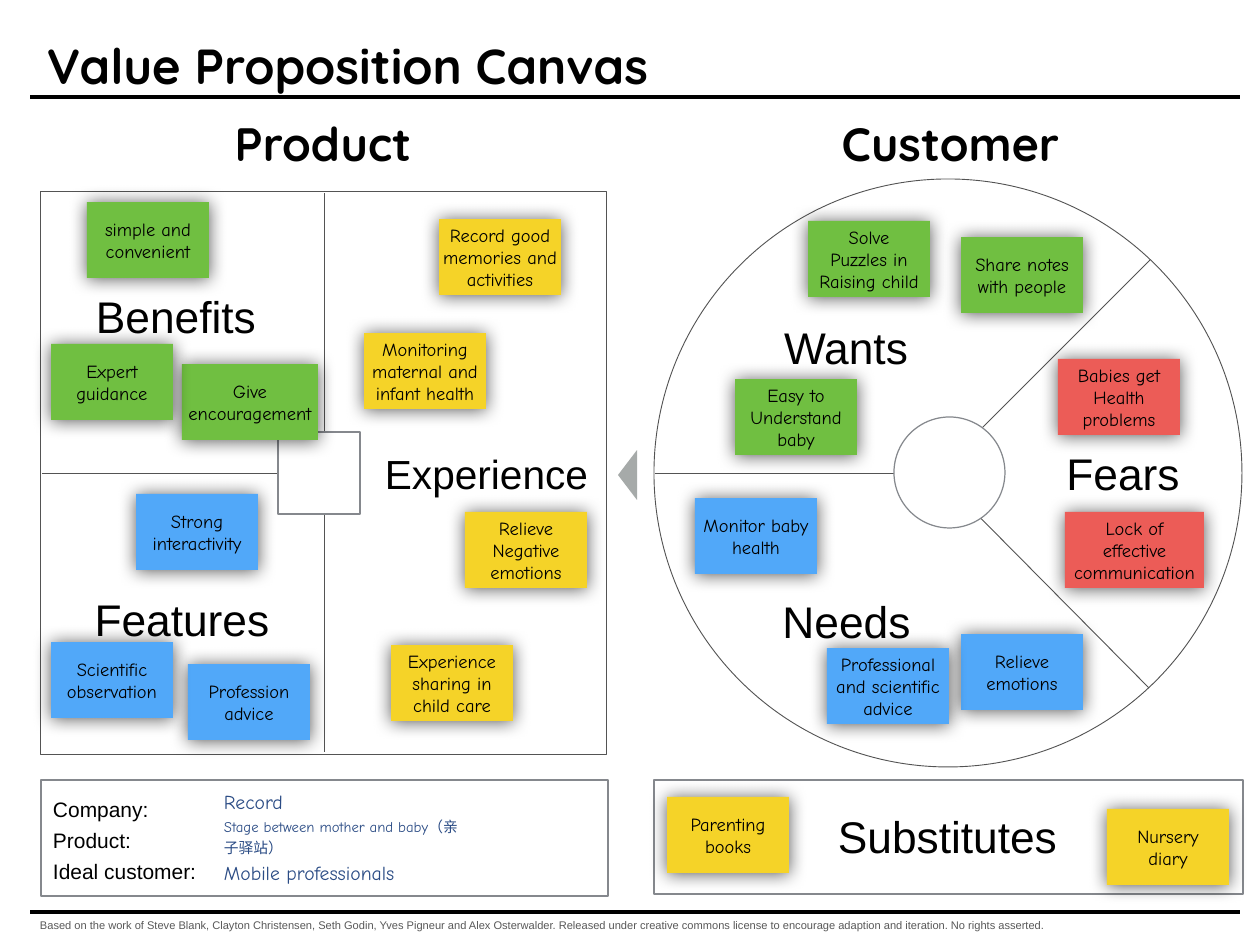
from lxml import etree
from pptx import Presentation
from pptx.dml.color import RGBColor
from pptx.enum.shapes import MSO_CONNECTOR, MSO_SHAPE as SHAPE
from pptx.enum.text import MSO_ANCHOR, MSO_AUTO_SIZE as FIT, PP_ALIGN as ALIGN
from pptx.oxml.ns import qn
from pptx.util import Emu, Pt

SCALE = 10320  # EMU per pixel
BLACK = RGBColor(0x00, 0x00, 0x00)
WHITE = RGBColor(0xFF, 0xFF, 0xFF)
DARK = RGBColor(0x53, 0x53, 0x53)
GREY = RGBColor(0x85, 0x88, 0x8D)
ARROW = RGBColor(0xA6, 0xAA, 0xA9)
CREDIT = RGBColor(0x59, 0x59, 0x59)
NAVY = RGBColor(0x2B, 0x4C, 0x85)
YELLOW = RGBColor(0xF5, 0xD3, 0x28)
GREEN = RGBColor(0x70, 0xBF, 0x41)
BLUE = RGBColor(0x51, 0xA8, 0xF9)
RED = RGBColor(0xEC, 0x5C, 0x57)


def px(*lengths):
    return [Emu(length * SCALE) for length in lengths]


def write(frame, text, font, align=ALIGN.CENTER, spacing=1.0, inset=5, wrap=True, fit=FIT.NONE):
    """Fill a text frame, one paragraph per line of text."""
    margin = px(inset)[0]
    frame_format = {"text": text, "word_wrap": wrap, "auto_size": fit,
                    "vertical_anchor": MSO_ANCHOR.MIDDLE,
                    "margin_left": margin, "margin_right": margin,
                    "margin_top": margin, "margin_bottom": margin}
    for key, value in frame_format.items():
        setattr(frame, key, value)
    name, size, color, bold = font
    for paragraph in frame.paragraphs:
        paragraph.alignment, paragraph.line_spacing = align, spacing
        for run in paragraph.runs:
            for key, value in {"name": name, "size": Pt(size), "bold": bold}.items():
                setattr(run.font, key, value)
            run.font.color.rgb = color


deck = Presentation()
deck.slide_width, deck.slide_height = px(1260, 945)
slide = deck.slides.add_slide(deck.slide_layouts[5])
shapes = slide.shapes

# Title
title = shapes.title
title.left, title.top, title.width, title.height = px(42, 43, 1126, 43)
write(title.text_frame, "Value Proposition Canvas", ("Quicksand", 40, BLACK, True), ALIGN.LEFT)

# Panels, then rules and dividers, then the two hubs that cover them
outlines = [
    (SHAPE.RECTANGLE, (654, 780, 589, 114), GREY, 1),
    (SHAPE.RECTANGLE, (41, 780, 567, 116), GREY, 1),
    (SHAPE.RECTANGLE, (40, 191, 567, 564), DARK, 0.75),
    (SHAPE.OVAL, (654, 179, 588, 588), DARK, 0.75),
]
hubs = [
    (SHAPE.OVAL, (894, 417, 111, 111), GREY, 1),
    (SHAPE.RECTANGLE, (278, 432, 82, 82), GREY, 1),
]
lines = [
    ((30, 97, 1240, 97), BLACK, 4),
    ((30, 912, 1240, 912), BLACK, 4),
    ((655, 473, 937, 473), DARK, 0.75),
    ((937, 474, 1149, 688), DARK, 0.75),
    ((937, 473, 1150, 260), DARK, 0.75),
    ((324, 752, 324, 193), DARK, 0.75),
    ((42, 473, 333, 473), DARK, 0.75),
]
for kind, place, color, weight in outlines + [(None, *line) for line in lines] + hubs:
    if kind is None:
        part = shapes.add_connector(MSO_CONNECTOR.STRAIGHT, *px(*place))
        etree.SubElement(part._element.spPr, qn("a:effectLst"))
    else:
        part = shapes.add_shape(kind, *px(*place))
        part.shadow.inherit = False
        part.fill.background()
    if (kind, place, color, weight) in hubs:
        part.fill.solid()
        part.fill.fore_color.rgb = WHITE
    part.line.color.rgb = color
    part.line.width = Pt(weight)

# Arrow from customer to product
builder = shapes.build_freeform(618, 475, scale=SCALE)
builder.add_line_segments([(637, 450), (637, 500)], close=True)
arrow = builder.convert_to_shape()
arrow.shadow.inherit = False
arrow.fill.solid()
arrow.fill.fore_color.rgb = ARROW
arrow.line.fill.background()

# Section headings
AREA = ("Arial", 36, BLACK, False)
SIDE = ("Quicksand", 38, BLACK, True)
headings = [
    ("Benefits", (90, 284, 172, 64), AREA),
    ("Features", (89, 587, 186, 64), AREA),
    ("Experience", (379, 444, 215, 59), ("Arial", 33, BLACK, False)),
    ("Needs", (777, 589, 139, 64), AREA),
    ("Wants", (778, 315, 136, 64), AREA),
    ("Fears", (1061, 441, 124, 64), AREA),
    ("Substitutes", (832, 804, 231, 64), AREA),
    ("Product", (222, 110, 202, 66), SIDE),
    ("Customer", (827, 110, 247, 66), SIDE),
]
for text, place, font in headings:
    heading = shapes.add_textbox(*px(*place))
    write(heading.text_frame, text, font, wrap=False, fit=FIT.SHAPE_TO_FIT_TEXT)

# Sticky notes: left, top, text, and a width where it is not the usual one
notes = {
    YELLOW: [
        (439, 219, "Record good memories and activities"),
        (364, 333, "Monitoring maternal and infant health"),
        (465, 512, "Relieve\nNegative\nemotions"),
        (391, 645, "Experience sharing in child care"),
        (667, 797, "Parenting\nbooks"),
        (1107, 809, "Nursery\ndiary"),
    ],
    GREEN: [
        (182, 364, "Give encouragement", 136),
        (51, 344, "Expert guidance"),
        (961, 237, "Share notes with people"),
        (735, 379, "Easy to\nUnderstand\nbaby"),
        (808, 221, "Solve\nPuzzles in\nRaising child"),
        (87, 202, "simple and convenient"),
    ],
    BLUE: [
        (188, 664, "Profession\nadvice"),
        (136, 494, "Strong interactivity"),
        (695, 498, "Monitor baby\nhealth"),
        (961, 634, "Relieve\nemotions"),
        (827, 648, "Professional and scientific advice"),
        (51, 642, "Scientific\nobservation"),
    ],
    RED: [
        (1065, 512, "Lock of\neffective\ncommunication", 139),
        (1058, 359, "Babies get\nHealth\nproblems"),
    ],
}
for color, group in notes.items():
    for left, top, text, *width in group:
        note = shapes.add_shape(SHAPE.RECTANGLE, *px(left, top, *(width or [122]), 76))
        note.fill.solid()
        note.fill.fore_color.rgb = color
        note.line.fill.background()
        note.shadow.inherit = False
        effects = note._element.spPr.find(qn("a:effectLst"))
        shadow = etree.SubElement(effects, qn("a:outerShdw"), blurRad=str(Pt(15)),
                                  dist=str(Pt(1)), dir="5400000", rotWithShape="0")
        shade = etree.SubElement(shadow, qn("a:srgbClr"), val=str(BLACK))
        etree.SubElement(shade, qn("a:alpha"), val="64000")
        write(note.text_frame, text, ("Comic Neue", 15, BLACK, False), inset=1)

# Company details
labels = shapes.add_textbox(*px(48, 786, 154, 102))
write(labels.text_frame, "Company:\nProduct:\nIdeal customer:", ("Arial", 17, BLACK, False),
      ALIGN.LEFT, 1.25, wrap=False, fit=FIT.SHAPE_TO_FIT_TEXT)
details = shapes.add_textbox(*px(219, 781, 256, 108))
write(details.text_frame,
      "Record\nStage between mother and baby（亲子驿站）\nMobile professionals",
      ("Comic Neue", 16, NAVY, False), ALIGN.LEFT, 1.2, fit=FIT.SHAPE_TO_FIT_TEXT)
details.text_frame.paragraphs[1].runs[0].font.size = Pt(12)

# Credits
credits = shapes.add_textbox(*px(35, 914, 1123, 23))
write(credits.text_frame,
      "Based on the work of Steve Blank, Clayton Christensen, Seth Godin, Yves Pigneur and "
      "Alex Osterwalder. Released under creative commons license to encourage adaption and "
      "iteration. No rights asserted.",
      ("Arial", 9, CREDIT, False), ALIGN.JUSTIFY, fit=FIT.SHAPE_TO_FIT_TEXT)

deck.save("out.pptx")
